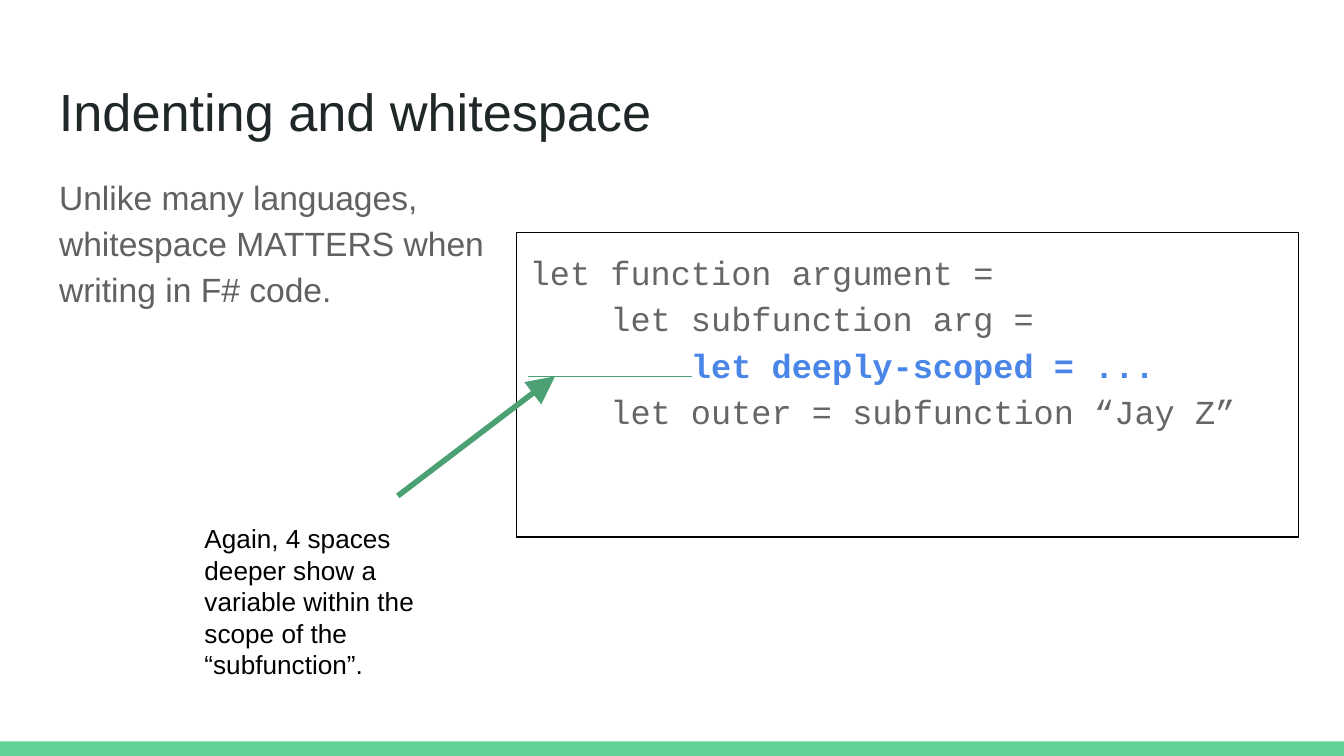
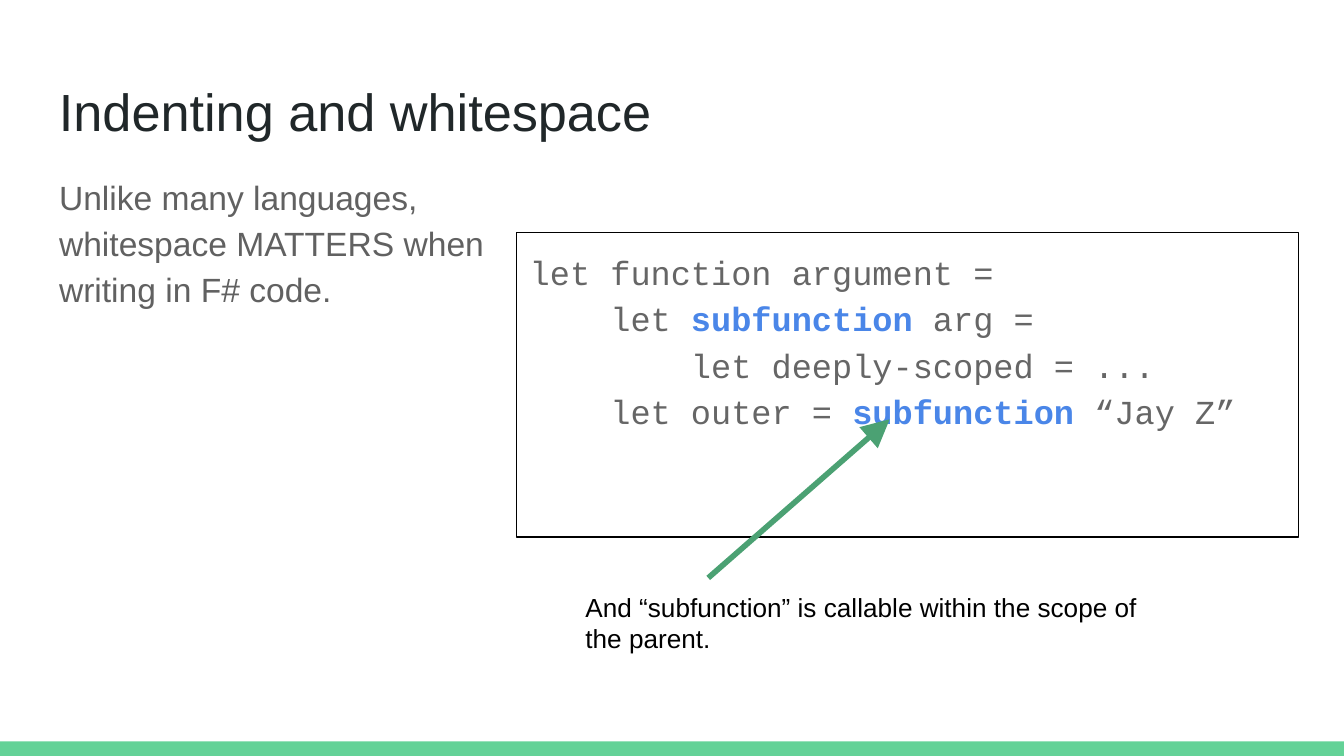
from typing import NamedTuple, Optional

from pptx import Presentation
from pptx.dml.color import RGBColor
from pptx.enum.shapes import MSO_CONNECTOR as Conn, MSO_SHAPE as Shp
from pptx.oxml.ns import qn
from pptx.util import Emu, Inches, Pt
from lxml.etree import SubElement

COLORS = {
    "band": "63D297",
    "title": "202729",
    "body": "616161",
    "code": "666666",
    "highlight": "4A86E8",
    "arrow": "4BA173",
    "ink": "000000",
}
W = Inches(10)
H = Emu(W * 9 // 16)
UNIT = W // 100  # one column wide, one row high
LEFT, RIGHT = 3.41, 96.6
BAND_ROWS = 1.08
TAB = " " * 4


class Box(NamedTuple):
    """Left, top, width and height in columns and rows."""
    x: float
    y: float
    w: float
    h: float


class Style(NamedTuple):
    font: str
    size: float
    color: str
    spacing: Optional[float] = None
    after: float = 0


class Stroke(NamedTuple):
    """A line in columns and rows, with an optional arrowhead at its end."""
    x1: float
    y1: float
    x2: float
    y2: float
    width: float
    arrow: bool = False


class Page(NamedTuple):
    code: list[str]  # *...* marks highlighted code
    note: str
    note_box: Box
    strokes: list[Stroke]


TITLE = Style("Arial", 28, "title")
BODY = Style("Arial", 18, "body", 1.15, 16)
CODE = Style("Courier New", 18, "code", 1.15, 16)
NOTE = Style("Arial", 14, "ink")

TITLE_BOX = Box(LEFT, 4.9, RIGHT - LEFT, 6.3)
BODY_BOX = Box(LEFT, 11.7, 37.9, 37.4)
CODE_BOX = Box(38.43, 17.3, RIGHT - 38.43, 22.65)

PAGES = [
    Page(
        ["let function argument = ",
         TAB + "let subfunction arg = ",
         TAB * 2 + "*let deeply-scoped = ...*",
         TAB + "let outer = subfunction “Jay Z”"],
        "Again, 4 spaces deeper show a variable within the scope of the “subfunction”.",
        Box(14.23, 37.9, 21.9, 8.6),
        [Stroke(29.6, 36.9, 41.3, 28, 3, True), Stroke(39.3, 28, 51.5, 28, 0.75)],
    ),
    Page(
        ["let function argument = ",
         TAB + "let *subfunction *arg = ",
         TAB * 2 + "let deeply-scoped = ...",
         TAB + "let outer = *subfunction *“Jay Z”"],
        "And “subfunction” is callable within the scope of the parent.",
        Box(42.57, 43, 43.5, 8.6),
        [Stroke(52.7, 43, 66.2, 31.2, 3, True)],
    ),
]


def rgb(name: str) -> RGBColor:
    return RGBColor.from_string(COLORS[name])


def grid(*cells: float) -> list[Emu]:
    return [Emu(round(c * UNIT)) for c in cells]


def add_text(s, box: Box, lines: list[str], style: Style):
    """Put the lines in one paragraph; parts between asterisks are highlighted."""
    sp = s.shapes.add_textbox(*grid(*box))
    tf = sp.text_frame
    tf.word_wrap = True
    tf.margin_left = tf.margin_right = tf.margin_top = tf.margin_bottom = Inches(0.1)
    p = tf.paragraphs[0]
    p.line_spacing = style.spacing
    p.space_after = Pt(style.after)
    p.font.size = Pt(style.size)
    for row, line in enumerate(lines):
        if row:
            p.add_line_break()
        for i, part in enumerate(line.split("*")):
            if not part:
                continue
            marked = i % 2 == 1
            r = p.add_run()
            r.text = part
            r.font.name, r.font.size, r.font.bold = style.font, Pt(style.size), marked
            r.font.color.rgb = rgb("highlight" if marked else style.color)
    return sp


def add_band(s) -> None:
    height = grid(BAND_ROWS)[0]
    sp = s.shapes.add_shape(Shp.RECTANGLE, 0, H - height, W, height)
    sp.shadow.inherit = False
    sp.fill.solid()
    sp.fill.fore_color.rgb = rgb("band")
    sp.line.fill.background()


def add_stroke(s, stroke: Stroke) -> None:
    ends = grid(stroke.x1, stroke.y1, stroke.x2, stroke.y2)
    cxn = s.shapes.add_connector(Conn.STRAIGHT, *ends)
    cxn.line.color.rgb = rgb("arrow")
    cxn.line.width = Pt(stroke.width)
    if stroke.arrow:
        ln = cxn.line._get_or_add_ln()
        SubElement(ln, qn("a:tailEnd"), type="triangle", w="lg", len="lg")
    SubElement(cxn._element.spPr, qn("a:effectLst"))


def add_page(prs, page: Page) -> None:
    s = prs.slides.add_slide(prs.slide_layouts[6])
    add_band(s)
    add_text(s, TITLE_BOX, ["Indenting and whitespace"], TITLE)
    code = add_text(s, CODE_BOX, page.code, CODE)
    code.line.color.rgb = rgb("ink")
    code.line.width = Pt(0.75)
    add_text(s, BODY_BOX,
             ["Unlike many languages, whitespace MATTERS when writing in F# code."], BODY)
    add_text(s, page.note_box, [page.note], NOTE)
    for stroke in page.strokes:
        add_stroke(s, stroke)


def main() -> None:
    prs = Presentation()
    prs.slide_width, prs.slide_height = W, H
    for page in PAGES:
        add_page(prs, page)
    prs.save("out.pptx")


if __name__ == "__main__":
    main()
